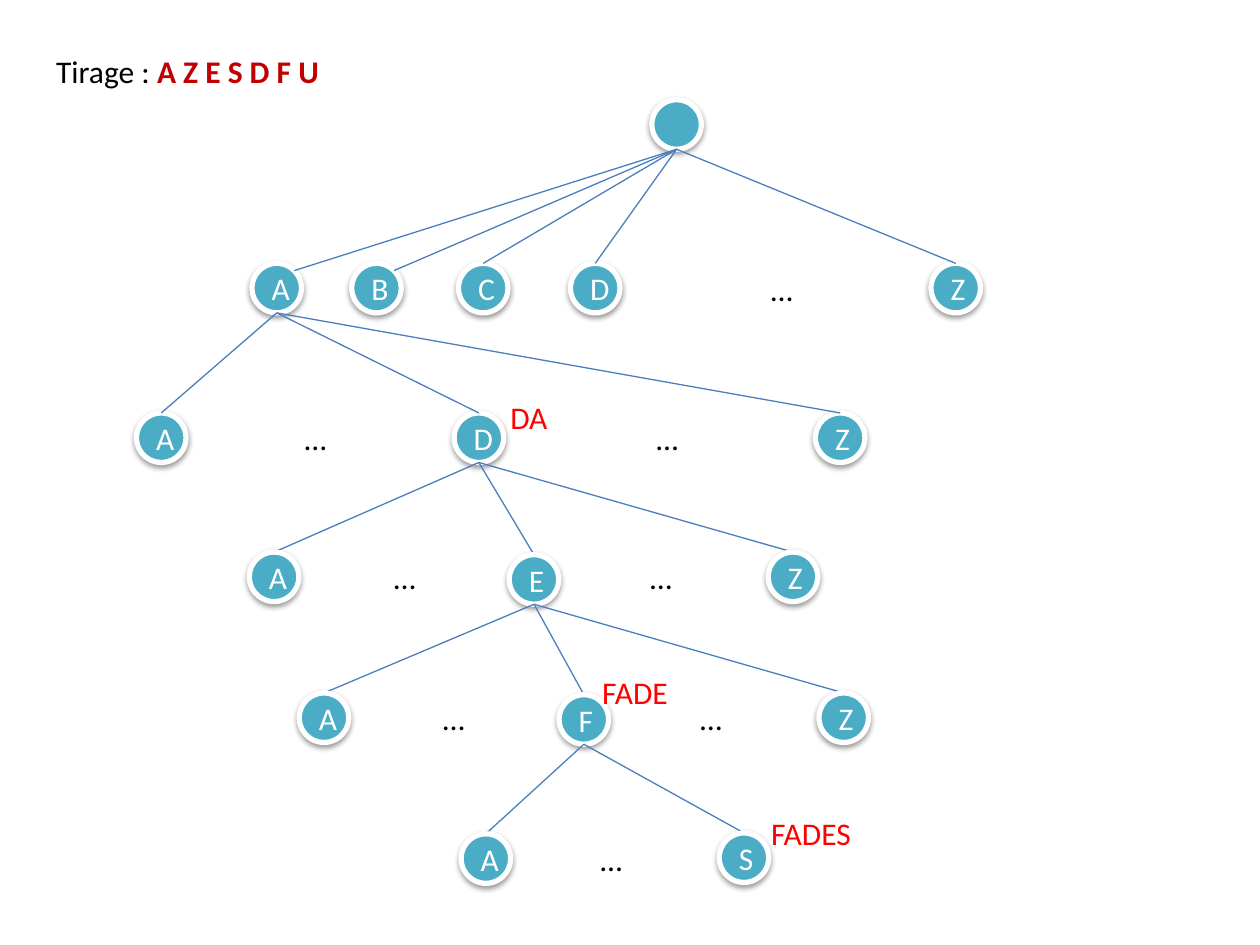
from dataclasses import dataclass
from math import sqrt

from lxml.etree import SubElement
from pptx import Presentation
from pptx.dml.color import RGBColor
from pptx.enum.shapes import MSO_CONNECTOR, MSO_SHAPE
from pptx.enum.text import MSO_ANCHOR, MSO_AUTO_SIZE, PP_ALIGN
from pptx.oxml.ns import qn
from pptx.util import Pt

TEAL = RGBColor(0x4B, 0xAC, 0xC6)
BLUE = RGBColor(0x4B, 0x7E, 0xBC)
WHITE = RGBColor(0xFF, 0xFF, 0xFF)
BLACK = RGBColor(0, 0, 0)
RED = RGBColor(0xFF, 0, 0)
DARK_RED = RGBColor(0xC0, 0, 0)

SIZE = 28.3
TEXT_HIGH = 29
DOTS_WIDE = 27.5
FONT = {"name": "Calibri", "size": Pt(18)}


@dataclass
class Node:
    text: str
    x: float
    y: float
    corner: bool = False  # the line from above ends at the upper right

    @property
    def foot(self) -> tuple[float, float]:
        return self.x + SIZE / 2, self.y + SIZE

    @property
    def head(self) -> tuple[float, float]:
        mid, half = self.x + SIZE / 2, SIZE / 2
        if self.corner:
            return mid + half / sqrt(2), self.y + half - half / sqrt(2)
        return mid, self.y


@dataclass
class Level:
    nodes: list[Node]
    dots: list[float]
    hub: int = 0  # index of the node that branches further
    on_top: bool = False  # lines lie over the nodes


@dataclass
class Label:
    text: str
    x: float
    y: float
    wide: float


ROOT = Node("", 372.5, 57)
LEVELS = [
    Level([Node("A", 144, 150.5, True), Node("B", 201, 150.5, True),
           Node("C", 262, 150.5), Node("D", 326, 150.5), Node("Z", 532, 150.5)],
          [433.5], on_top=True),
    Level([Node("A", 78, 236), Node("D", 259.5, 236), Node("Z", 466, 236)],
          [167, 368], hub=1, on_top=True),
    Level([Node("A", 142.5, 315.5), Node("E", 291, 317), Node("Z", 439, 315.5)],
          [218, 364.5], hub=1),
    Level([Node("A", 171, 396), Node("F", 319.5, 397), Node("Z", 468, 396)],
          [246, 393], hub=1),
    Level([Node("A", 263.5, 476.5), Node("S", 411, 476)], [336]),
]
LABELS = [
    Label("DA", 284.5, 224, 47),
    Label("FADE", 337, 381, 62.5),
    Label("FADES", 433.5, 461.5, 62.5),
]


def style(run, color: RGBColor, **more) -> None:
    for key, value in {**FONT, **more}.items():
        setattr(run.font, key, value)
    run.font.color.rgb = color


def add_shade(shape) -> None:
    """Give the shape a soft shadow straight below it."""
    glow = SubElement(shape._element.spPr, qn("a:effectLst"))
    outer = SubElement(glow, qn("a:outerShdw"), blurRad=str(Pt(3.1)),
                       dist=str(Pt(1.6)), dir="5400000", rotWithShape="0")
    tint = SubElement(outer, qn("a:srgbClr"), val="000000")
    SubElement(tint, qn("a:alpha"), val="38000")


def add_node(shapes, node: Node) -> None:
    ball = shapes.add_shape(MSO_SHAPE.OVAL, Pt(node.x), Pt(node.y), Pt(SIZE), Pt(SIZE))
    ball.fill.solid()
    ball.fill.fore_color.rgb = TEAL
    ball.line.color.rgb = WHITE
    ball.line.width = Pt(3)
    add_shade(ball)
    if node.text:
        ball.text_frame.vertical_anchor = MSO_ANCHOR.MIDDLE
        para = ball.text_frame.paragraphs[0]
        para.alignment = PP_ALIGN.CENTER
        run = para.add_run()
        run.text = node.text
        style(run, WHITE)


def add_edge(shapes, start: Node, end: Node) -> None:
    points = [Pt(n) for n in (*start.foot, *end.head)]
    edge = shapes.add_connector(MSO_CONNECTOR.STRAIGHT, *points)
    edge.line.color.rgb = BLUE
    edge.line.width = Pt(0.75)
    SubElement(edge._element.spPr, qn("a:effectLst"))


def add_text(shapes, label: Label, color: RGBColor, wrap: bool = True):
    """Add a text box and return its paragraph."""
    box = shapes.add_textbox(Pt(label.x), Pt(label.y), Pt(label.wide), Pt(TEXT_HIGH))
    frame = box.text_frame
    frame.word_wrap = wrap
    frame.auto_size = MSO_AUTO_SIZE.SHAPE_TO_FIT_TEXT
    para = frame.paragraphs[0]
    run = para.add_run()
    run.text = label.text
    style(run, color)
    return para


def add_level(shapes, dad: Node, level: Level) -> None:
    def add_nodes() -> None:
        for node in level.nodes:
            add_node(shapes, node)

    if level.on_top:
        add_nodes()
    for node in level.nodes:
        add_edge(shapes, dad, node)
    if not level.on_top:
        add_nodes()
    for x in level.dots:
        add_text(shapes, Label("…", x, level.nodes[0].y, DOTS_WIDE), BLACK, wrap=False)


def main() -> None:
    deck = Presentation()
    deck.slide_width, deck.slide_height = Pt(720), Pt(540)
    shapes = deck.slides.add_slide(deck.slide_layouts[6]).shapes

    draw = add_text(shapes, Label("Tirage : ", 25, 26, 169), BLACK).add_run()
    draw.text = "A Z E S D F U"
    style(draw, DARK_RED, bold=True)

    add_node(shapes, ROOT)
    dad = ROOT
    for level in LEVELS:
        add_level(shapes, dad, level)
        dad = level.nodes[level.hub]
    for label in LABELS:
        add_text(shapes, label, RED)

    deck.save("out.pptx")


if __name__ == "__main__":
    main()
